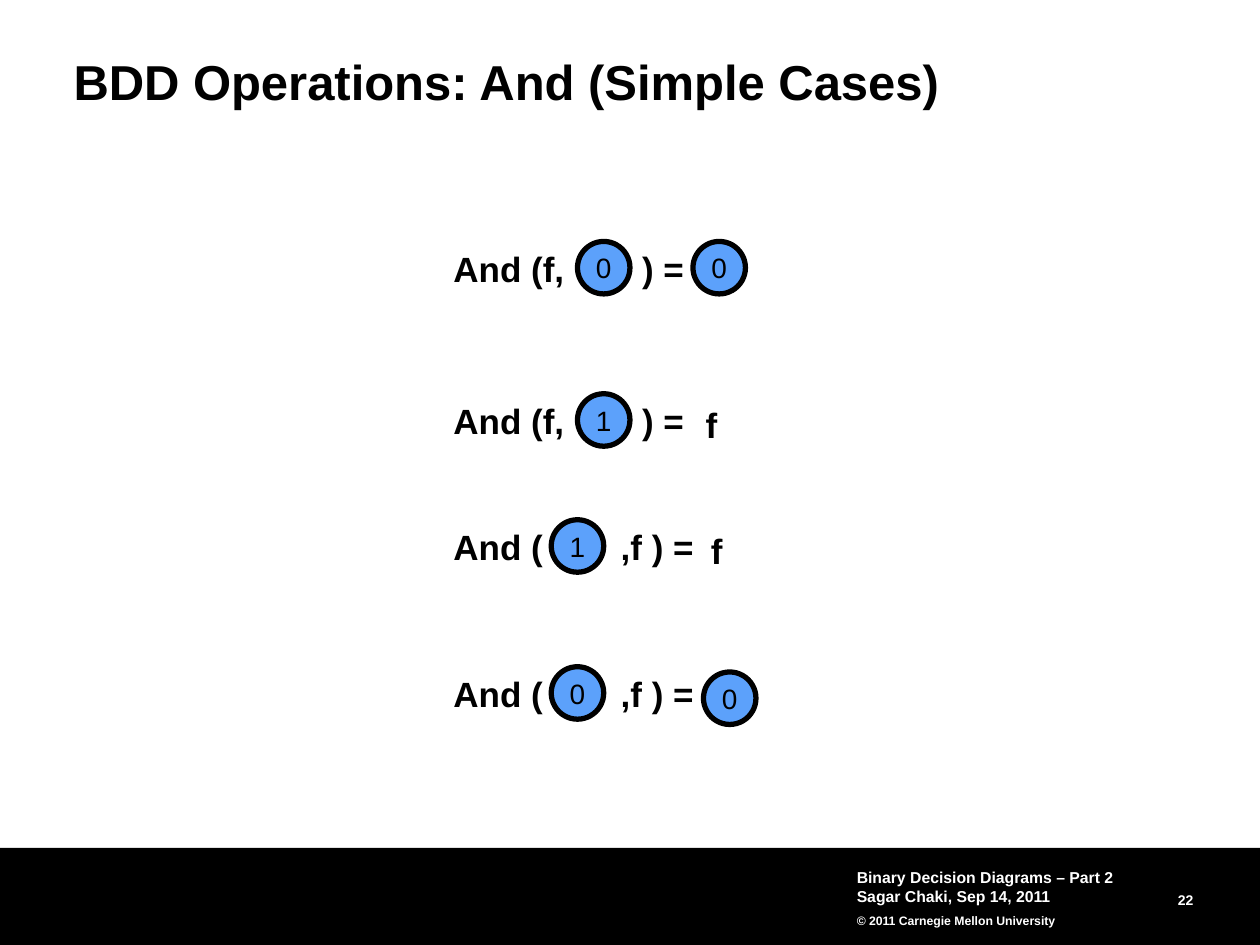
from lxml import etree
from pptx import Presentation
from pptx.dml.color import RGBColor
from pptx.enum.shapes import MSO_SHAPE
from pptx.enum.text import MSO_ANCHOR, MSO_AUTO_SIZE, PP_ALIGN
from pptx.oxml.ns import qn
from pptx.util import Pt

BLACK = RGBColor(0x00, 0x00, 0x00)
WHITE = RGBColor(0xFF, 0xFF, 0xFF)
NODE_BLUE = RGBColor(0x5C, 0xA1, 0xFB)

LEFT, RIGHT, CENTER = PP_ALIGN.LEFT, PP_ALIGN.RIGHT, PP_ALIGN.CENTER
TOP, MIDDLE = MSO_ANCHOR.TOP, MSO_ANCHOR.MIDDLE
NO_AUTOFIT = MSO_AUTO_SIZE.NONE
RECTANGLE, OVAL = MSO_SHAPE.RECTANGLE, MSO_SHAPE.OVAL

FONT = "Arial"
NODE_SIZE = 30
EQUATION_LEFT = 252

# Equation text (the tab leaves room for the node), tab position, node left
NODE_SECOND = ("And (f,\t) =", 107.8, 330)
NODE_FIRST = ("And (\t,f ) =", 95.6, 315)

# Form, top, operand, result, result left, result drop below the row top
EQUATIONS = [
    (NODE_SECOND, 138, "0", "0", 396, 0),
    (NODE_SECOND, 225, "1", "f", 396, 2),
    (NODE_FIRST, 297, "1", "f", 399, 2),
    (NODE_FIRST, 381, "0", "0", 402, 3),
]


def place(shape, left, top, width, height):
    shape.left, shape.top = Pt(left), Pt(top)
    shape.width, shape.height = Pt(width), Pt(height)


def format_frame(frame, anchor=TOP, margins=(0, 0), wrap=True):
    frame.auto_size = NO_AUTOFIT
    frame.word_wrap = wrap
    frame.vertical_anchor = anchor
    frame.margin_left = frame.margin_right = Pt(margins[0])
    frame.margin_top = frame.margin_bottom = Pt(margins[1])


def format_paragraph(paragraph, size, color=BLACK, bold=True, align=LEFT):
    paragraph.alignment = align
    font = paragraph.font
    font.name, font.size, font.bold = FONT, Pt(size), bold
    font.color.rgb = color


def add_shape(slide, kind, left, top, width, height, fill):
    shape = slide.shapes.add_shape(kind, Pt(left), Pt(top), Pt(width), Pt(height))
    shape.shadow.inherit = False
    shape.fill.solid()
    shape.fill.fore_color.rgb = fill
    return shape


def add_text_box(slide, left, top, width, height):
    return slide.shapes.add_textbox(
        Pt(left), Pt(top), Pt(width), Pt(height)).text_frame


def add_tab_stop(paragraph, position):
    tab_list = etree.SubElement(paragraph._p.get_or_add_pPr(), qn("a:tabLst"))
    etree.SubElement(tab_list, qn("a:tab"), pos=str(Pt(position)), algn="l")


def add_node(slide, left, top, label):
    node = add_shape(slide, OVAL, left, top, NODE_SIZE, NODE_SIZE, NODE_BLUE)
    node.line.color.rgb = BLACK
    node.line.width = Pt(3)
    format_frame(node.text_frame, MIDDLE, wrap=False)
    paragraph = node.text_frame.paragraphs[0]
    paragraph.text = label
    format_paragraph(paragraph, 16, bold=False, align=CENTER)


def add_expression(slide, left, top, width, text, align=LEFT, tab=None):
    frame = add_text_box(slide, left, top, width, 31.5)
    format_frame(frame, margins=(7.2, 3.6))
    paragraph = frame.paragraphs[0]
    paragraph.text = text
    if tab:
        add_tab_stop(paragraph, tab)
    format_paragraph(paragraph, 20, align=align)


def add_equation(slide, form, top, operand, result, result_left, drop):
    text, tab, node_left = form
    add_expression(slide, EQUATION_LEFT, top, 160, text, tab=tab)
    add_node(slide, node_left, top, operand)
    if result == "f":
        add_expression(slide, result_left, top + drop, 21, result, CENTER)
    else:
        add_node(slide, result_left, top + drop, result)


def set_title(slide, text):
    title = slide.shapes.title
    place(title, 42, 33, 642, 30)
    format_frame(title.text_frame)
    paragraph = title.text_frame.paragraphs[0]
    paragraph.text = text
    paragraph.line_spacing = 0.9
    format_paragraph(paragraph, 28)


def add_footer(slide):
    band = add_shape(slide, RECTANGLE, 0, 484.5, 720, 55.5, BLACK)
    band.line.fill.background()

    # Slide number
    frame = add_text_box(slide, 616, 506, 66, 13)
    format_frame(frame, MIDDLE)
    number = frame.paragraphs[0]
    number.text = "22"
    number.line_spacing = Pt(13)
    format_paragraph(number, 8, WHITE, align=RIGHT)

    # Lecture details
    frame = add_text_box(slide, 486, 492, 180, 42)
    format_frame(frame, MIDDLE, margins=(3.6, 3.6))
    frame.text = ("Binary Decision Diagrams – Part 2\n"
                  "Sagar Chaki, Sep 14, 2011\n"
                  "© 2011 Carnegie Mellon University")
    for paragraph, size in zip(frame.paragraphs, (9, 9, 7)):
        format_paragraph(paragraph, size, WHITE)
    frame.paragraphs[-1].line_spacing = 1.5


def main():
    presentation = Presentation()
    presentation.slide_width, presentation.slide_height = Pt(720), Pt(540)
    slide = presentation.slides.add_slide(presentation.slide_layouts[5])
    add_footer(slide)
    set_title(slide, "BDD Operations: And (Simple Cases)")
    for equation in EQUATIONS:
        add_equation(slide, *equation)
    presentation.save("out.pptx")


if __name__ == "__main__":
    main()
